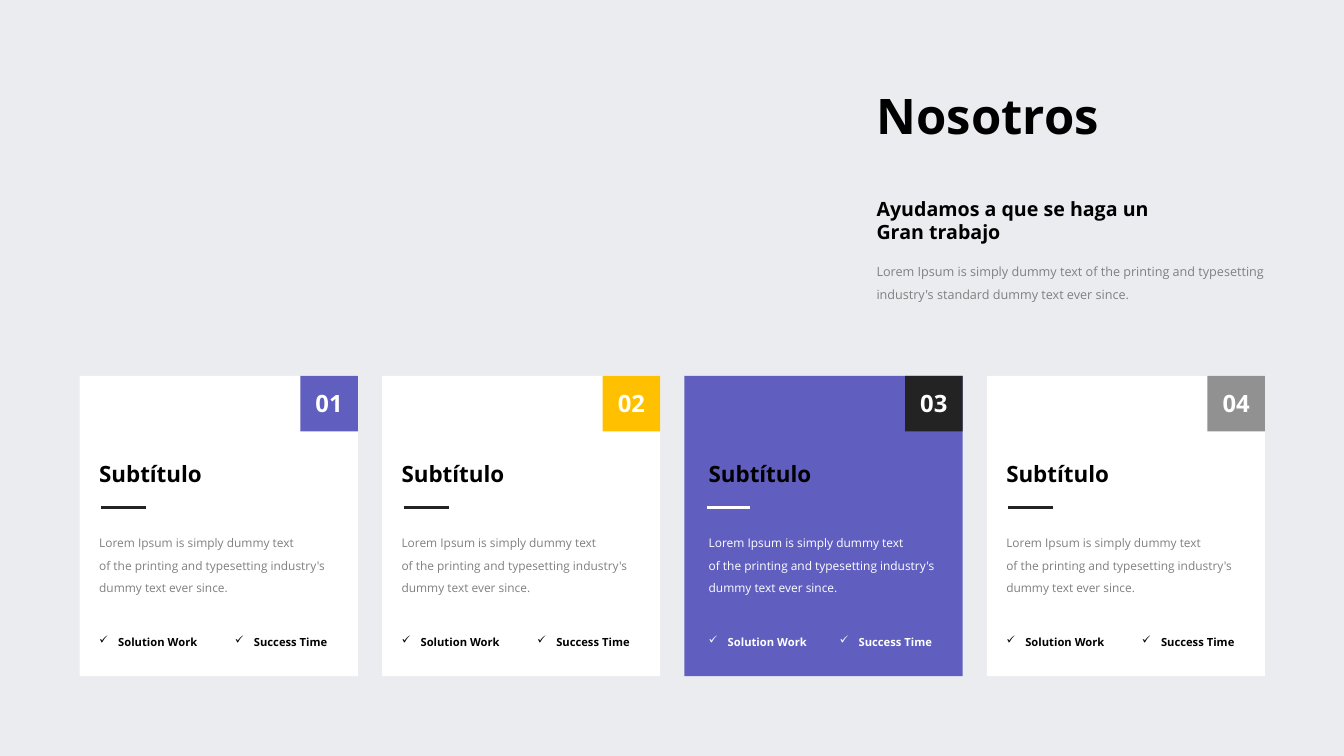
from lxml import etree
from pptx import Presentation
from pptx import util as u
from pptx.dml.color import RGBColor
from pptx.enum import shapes, text
from pptx.oxml.ns import qn

FONT = "Open Sans"
PURPLE, DARK, WHITE, BLACK, GRAY = "605FC0", "232323", "FFFFFF", "000000", "808080"
CARD_TOP, CARD_W, CARD_H, CARD_PITCH = 9.47, 7.01, 7.57, 7.62
BADGE_W, BADGE_H = 1.45, 1.4


def rgb(value):
    return RGBColor.from_string(value)


def write(sp, content, size, color=BLACK, bold=False, wrap=False, leading=1.0, check=False):
    """Fill a shape with one paragraph per line of content."""
    tf = sp.text_frame
    tf.word_wrap = wrap
    tf.auto_size = text.MSO_AUTO_SIZE.SHAPE_TO_FIT_TEXT
    tf.vertical_anchor = text.MSO_ANCHOR.TOP
    for i, line in enumerate(content.split("\n")):
        p = tf.add_paragraph() if i else tf.paragraphs[0]
        p.alignment = text.PP_ALIGN.LEFT
        p.line_spacing = leading
        p.space_before = u.Pt(0)
        if check:
            pPr = p._p.get_or_add_pPr()
            pPr.set("marL", str(u.Cm(0.48)))
            pPr.set("indent", str(u.Cm(-0.48)))
            etree.SubElement(pPr, qn("a:buChar")).set("char", "✓")
        r = p.add_run()
        r.text = line
        r.font.name = FONT
        r.font.size = u.Pt(size)
        r.font.bold = bold
        r.font.color.rgb = rgb(color)


def place(sp, x, y, w, h):
    sp.left, sp.top, sp.width, sp.height = map(u.Cm, (x, y, w, h))


def add_text(s, x, y, w, h, content, size, **fmt):
    write(s.shapes.add_textbox(*map(u.Cm, (x, y, w, h))), content, size, **fmt)


def add_box(s, x, y, w, h, fill):
    sp = s.shapes.add_shape(shapes.MSO_SHAPE.RECTANGLE, *map(u.Cm, (x, y, w, h)))
    sp.shadow.inherit = False
    sp.fill.solid()
    sp.fill.fore_color.rgb = rgb(fill)
    sp.line.fill.background()


def add_rule(s, x, y, length, color):
    line = s.shapes.add_connector(shapes.MSO_CONNECTOR.STRAIGHT,
                                  *map(u.Cm, (x, y, x + length, y)))
    line.line.color.rgb = rgb(color)
    line.line.width = u.Pt(2)
    etree.SubElement(line._element.spPr, qn("a:effectLst"))


def add_card(s, index, badge, featured=False):
    x = 2.01 + index * CARD_PITCH
    inner = x + (0.36 if featured else 0.24)
    accent = WHITE if featured else DARK

    # Panel and number badge
    add_box(s, x, CARD_TOP, CARD_W, CARD_H, PURPLE if featured else WHITE)
    add_box(s, x + CARD_W - BADGE_W, CARD_TOP, BADGE_W, BADGE_H, badge)
    add_text(s, x + 5.69, 9.68, 1.22, 0.99, f"{index + 1:02}", 17, color=WHITE, bold=True)

    # Subtitle, rule and body
    add_text(s, inner, 11.46, 3.12, 0.94, "Subtítulo", 16, bold=True)
    add_rule(s, x + (0.58 if featured else 0.54), 12.78, 1.07 if featured else 1.14, accent)
    add_text(s, inner, 13.18, 6.63, 2, "Lorem Ipsum is simply dummy text\n"
             "of the printing and typesetting industry's dummy text ever since.",
             8.5, color=WHITE if featured else GRAY, wrap=True, leading=u.Pt(16))

    # Checked items
    for left, width, item in ((inner, 3.02, "Solution Work"), (x + 3.66, 2.87, "Success Time")):
        add_text(s, left, 15.88, width, 0.61, item, 8,
                 color=WHITE if featured else BLACK, bold=True, check=True)


def main():
    prs = Presentation()
    prs.slide_width, prs.slide_height = u.Cm(33.87), u.Cm(19.05)
    s = prs.slides.add_slide(prs.slide_layouts[5])
    s.background.fill.solid()
    s.background.fill.fore_color.rgb = rgb("EBECF0")

    # Heading and introduction
    place(s.shapes.title, 21.84, 2.03, 6.17, 1.75)
    write(s.shapes.title, "Nosotros", 35, bold=True)
    add_text(s, 21.84, 4.83, 7.44, 1.45, "Ayudamos a que se haga un\nGran trabajo", 14, bold=True)
    add_text(s, 21.84, 6.35, 10.31, 1.35, "Lorem Ipsum is simply dummy text of the printing "
             "and typesetting industry's standard dummy text ever since.",
             9, color=GRAY, wrap=True, leading=u.Pt(16))

    # Cards
    for index, badge in enumerate((PURPLE, "FFC000", DARK, "919191")):
        add_card(s, index, badge, featured=index == 2)

    prs.save("out.pptx")


if __name__ == "__main__":
    main()
